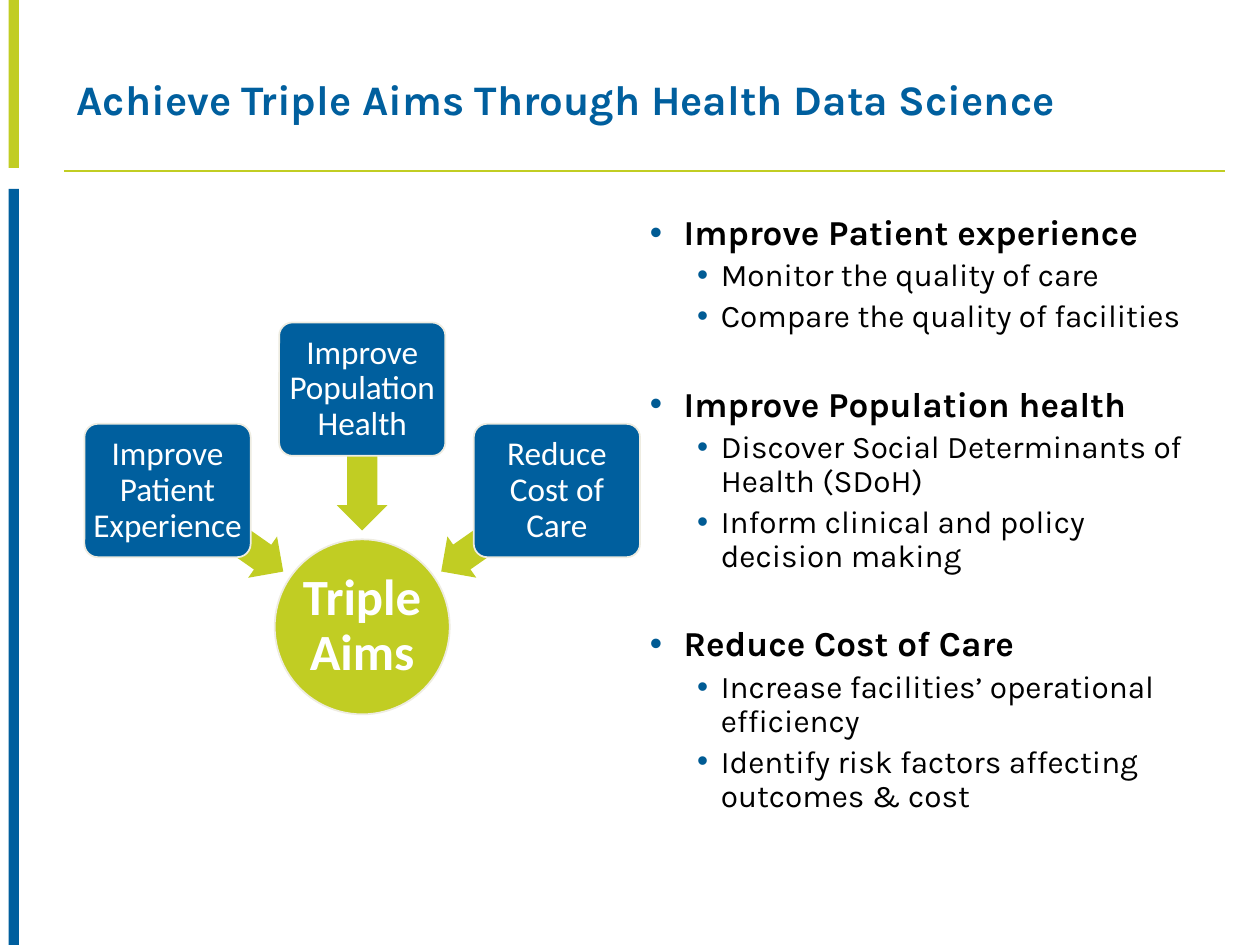
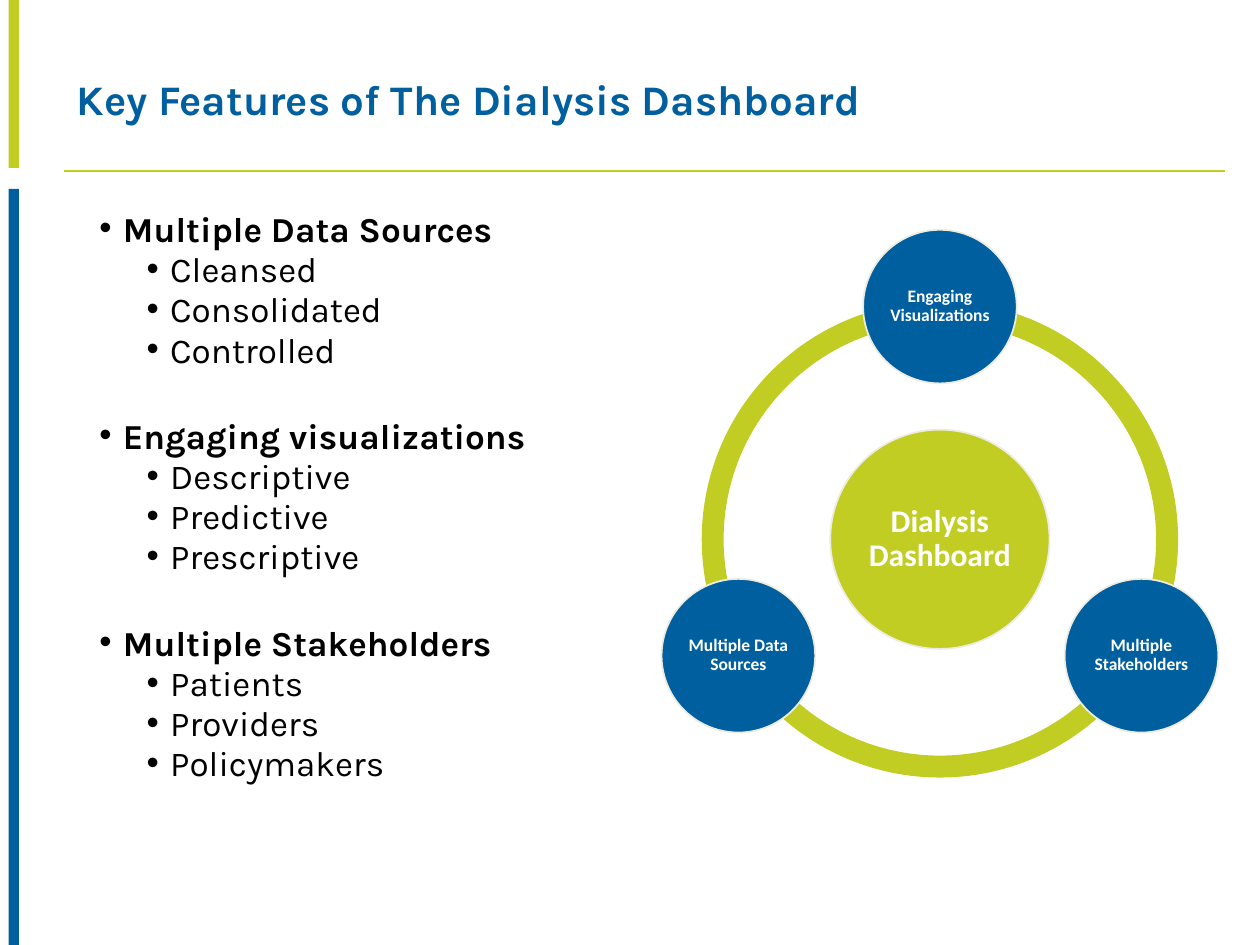
from math import cos, radians, sin
from lxml.etree import SubElement
from pptx import Presentation
from pptx.dml.color import RGBColor
from pptx.enum.shapes import MSO_CONNECTOR as Line, MSO_SHAPE as Kind
from pptx.enum.text import MSO_ANCHOR as Anchor, PP_ALIGN as Align
from pptx.oxml.ns import qn
from pptx.util import Pt

LIME, BLUE, DOT = "C1CD23", "005F9E", "005B94"
CREAM, WHITE, BLACK = "EEECE1", "FFFFFF", "000000"


def paint(fill, hue):
    fill.solid()
    fill.fore_color.rgb = RGBColor.from_string(hue)


def put(slide, kind, mid, size, hue, text="", pts=0, bold=False, inset=0):
    """Add a shape centred on mid; labelled shapes get a cream outline."""
    (x, y), (w, h) = mid, size
    shape = slide.shapes.add_shape(kind, Pt(x - w / 2), Pt(y - h / 2), Pt(w), Pt(h))
    shape.shadow.inherit = False
    paint(shape.fill, hue)
    if not text:
        shape.line.fill.background()
        return shape
    paint(shape.line.fill, CREAM)
    shape.line.width = Pt(1)
    frame = shape.text_frame
    frame.word_wrap = True
    frame.vertical_anchor = Anchor.MIDDLE
    frame.margin_left = frame.margin_right = Pt(inset)
    frame.margin_top = frame.margin_bottom = Pt(inset)
    para = frame.paragraphs[0]
    para.alignment = Align.CENTER
    para.line_spacing = 0.9
    run = para.add_run()
    run.text = text
    run.font.name, run.font.size, run.font.bold = "Calibri", Pt(pts), bold
    paint(run.font.fill, WHITE)
    return shape


deck = Presentation()
deck.slide_width, deck.slide_height = Pt(720), Pt(540)

# Wording: title, list place, list style, topics
pages = [
    {"title": "Achieve Triple Aims Through Health Data Science",
     "left": 364.3, "width": 318.2, "hang": 19.3, "lead": 0.9, "sub": 18, "dot": DOT,
     "topics": [
         ("Improve Patient experience",
          ["Monitor the quality of care", "Compare the quality of facilities"]),
         ("Improve Population health",
          ["Discover Social Determinants of Health (SDoH)",
           "Inform clinical and policy decision making"]),
         ("Reduce Cost of Care",
          ["Increase facilities’ operational efficiency",
           "Identify risk factors affecting outcomes & cost"])]},
    {"title": "Key Features of The Dialysis Dashboard",
     "left": 49.7, "width": 306, "hang": 13.5, "lead": 0.8, "sub": 20, "dot": BLACK,
     "topics": [
         ("Multiple Data Sources", ["Cleansed", "Consolidated", "Controlled"]),
         ("Engaging visualizations", ["Descriptive", "Predictive", "Prescriptive"]),
         ("Multiple Stakeholders", ["Patients", "Providers", "Policymakers"])]},
]

slides = []
for page in pages:
    slide = deck.slides.add_slide(deck.slide_layouts[6])
    slides.append(slide)

    # Side bands and rule
    put(slide, Kind.RECTANGLE, (7.9, 48), (5.8, 96), LIME)
    put(slide, Kind.RECTANGLE, (7.9, 324), (5.8, 432), BLUE)
    rule = slide.shapes.add_connector(Line.STRAIGHT, Pt(36.7), Pt(97.9), Pt(700), Pt(97.9))
    paint(rule.line.fill, LIME)
    rule.line.width = Pt(1)
    SubElement(rule._element.spPr, qn("a:effectLst"))

    # Title
    box = slide.shapes.add_textbox(Pt(36.7), Pt(28.8), Pt(664), Pt(59))
    frame = box.text_frame
    frame.word_wrap = True
    frame.vertical_anchor = Anchor.MIDDLE
    para = frame.paragraphs[0]
    para.line_spacing = 0.9
    run = para.add_run()
    run.text = page["title"]
    run.font.name, run.font.size, run.font.bold = "Karla", Pt(24), True
    paint(run.font.fill, BLUE)

    # Bulleted list
    box = slide.shapes.add_textbox(Pt(page["left"]), Pt(119.5), Pt(page["width"]), Pt(342.7))
    frame = box.text_frame
    frame.word_wrap = True
    rows = [(text, head) for topic, subs in page["topics"]
            for text, head in [(topic, True)] + [(sub, False) for sub in subs]]
    for i, (text, head) in enumerate(rows):
        para = frame.add_paragraph() if i else frame.paragraphs[0]
        para.level = 0 if head else 1
        para.line_spacing = page["lead"]
        para.space_before = Pt((30 if i else 7.5) if head else 3.8)
        props = para._p.get_or_add_pPr()
        hang = page["hang"] if head else 13.5
        props.set("marL", str(Pt(hang if head else 40.5)))
        props.set("indent", str(-Pt(hang)))
        tint = SubElement(props, qn("a:buClr"))
        SubElement(tint, qn("a:srgbClr"), val=page["dot"])
        SubElement(props, qn("a:buFont"), typeface="Arial")
        SubElement(props, qn("a:buChar"), char="•")
        run = para.add_run()
        run.text = text
        run.font.name, run.font.bold = "Karla", head
        run.font.size = Pt(20 if head else page["sub"])
        paint(run.font.fill, BLACK)

aims, board = slides

# Triple aims: boxes fan out above the hub, arrows point inward
x, y = 207, 358.2
put(aims, Kind.OVAL, (x, y), (100, 100), LIME, "Triple Aims", 29, True, 1.4)
names = ["Improve Patient Experience", "Improve Population Health", "Reduce Cost of Care"]
for i, name in enumerate(names):
    turn = 215 + 55 * i
    dx, dy = cos(radians(turn)), sin(radians(turn))
    arrow = put(aims, Kind.LEFT_ARROW, (x + 95.4 * dx, y + 95.4 * dy), (80.6, 28.8), LIME)
    arrow.adjustments[0], arrow.adjustments[1] = 0.6, 0.5
    arrow.rotation = turn
    card = put(aims, Kind.ROUNDED_RECTANGLE, (x + 135.8 * dx, y + 135.8 * dy),
               (95, 76.2), BLUE, name, 19, False, 2.5)
    card.adjustments[0] = 0.1

# Dashboard: ring of three arcs, hub, and three nodes
x, y = 537.1, 308.2
for start, end in [(90, 162), (18, 90), (162, 18)]:
    arc = put(board, Kind.BLOCK_ARC, (x, y), (272.2, 272.2), LIME)
    for i, value in enumerate([start * 0.6, end * 0.6, 0.046]):
        arc.adjustments[i] = value
put(board, Kind.OVAL, (x, y), (125.3, 125.3), LIME, "Dialysis Dashboard", 18, True, 2)
names = ["Engaging Visualizations", "Multiple Stakeholders", "Multiple Data Sources"]
for i, name in enumerate(names):
    turn = radians(270 + 120 * i)
    put(board, Kind.OVAL, (x + 133 * cos(turn), y + 133 * sin(turn)), (87.8, 87.8),
        BLUE, name, 10, True, 0.7)

deck.save("out.pptx")
